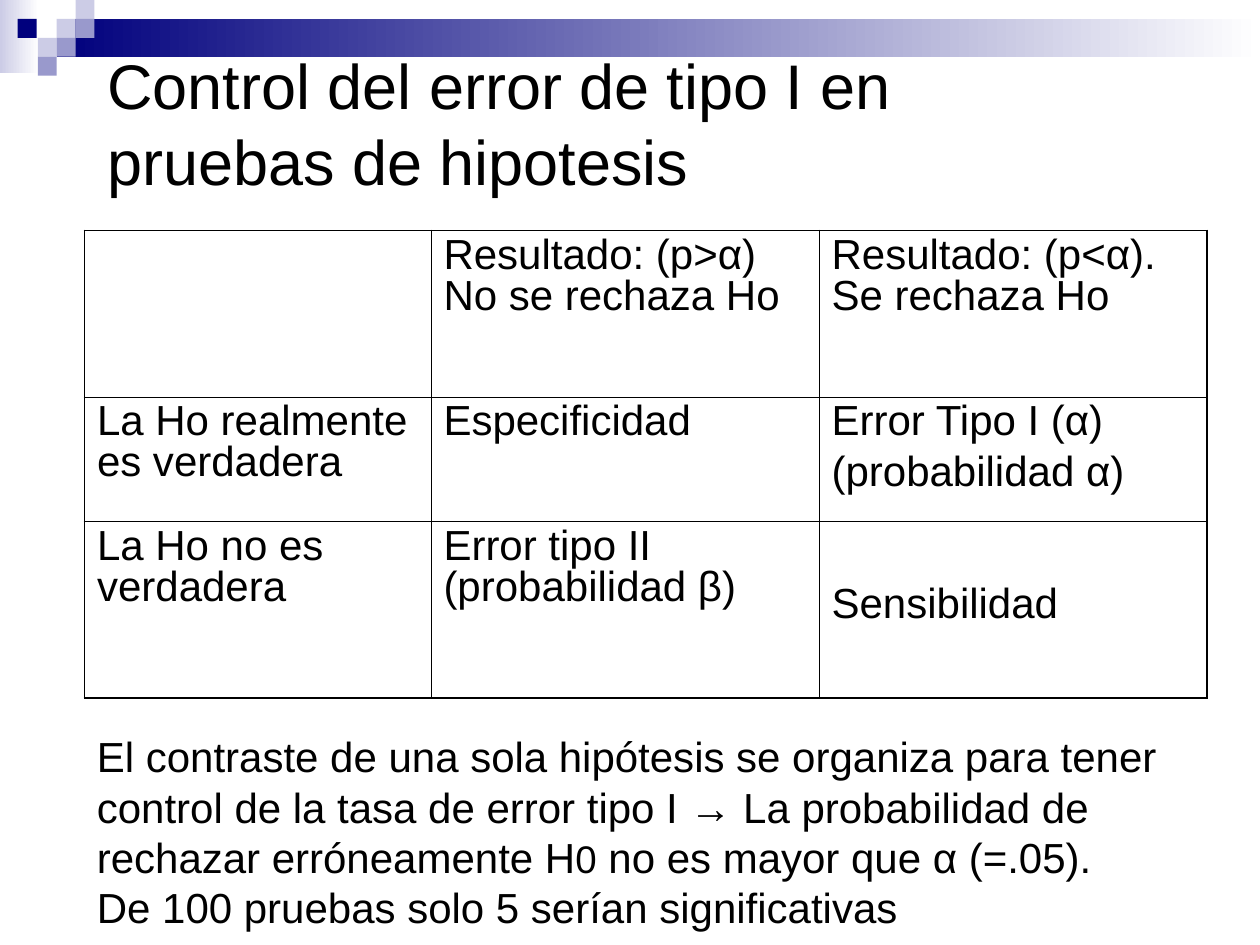
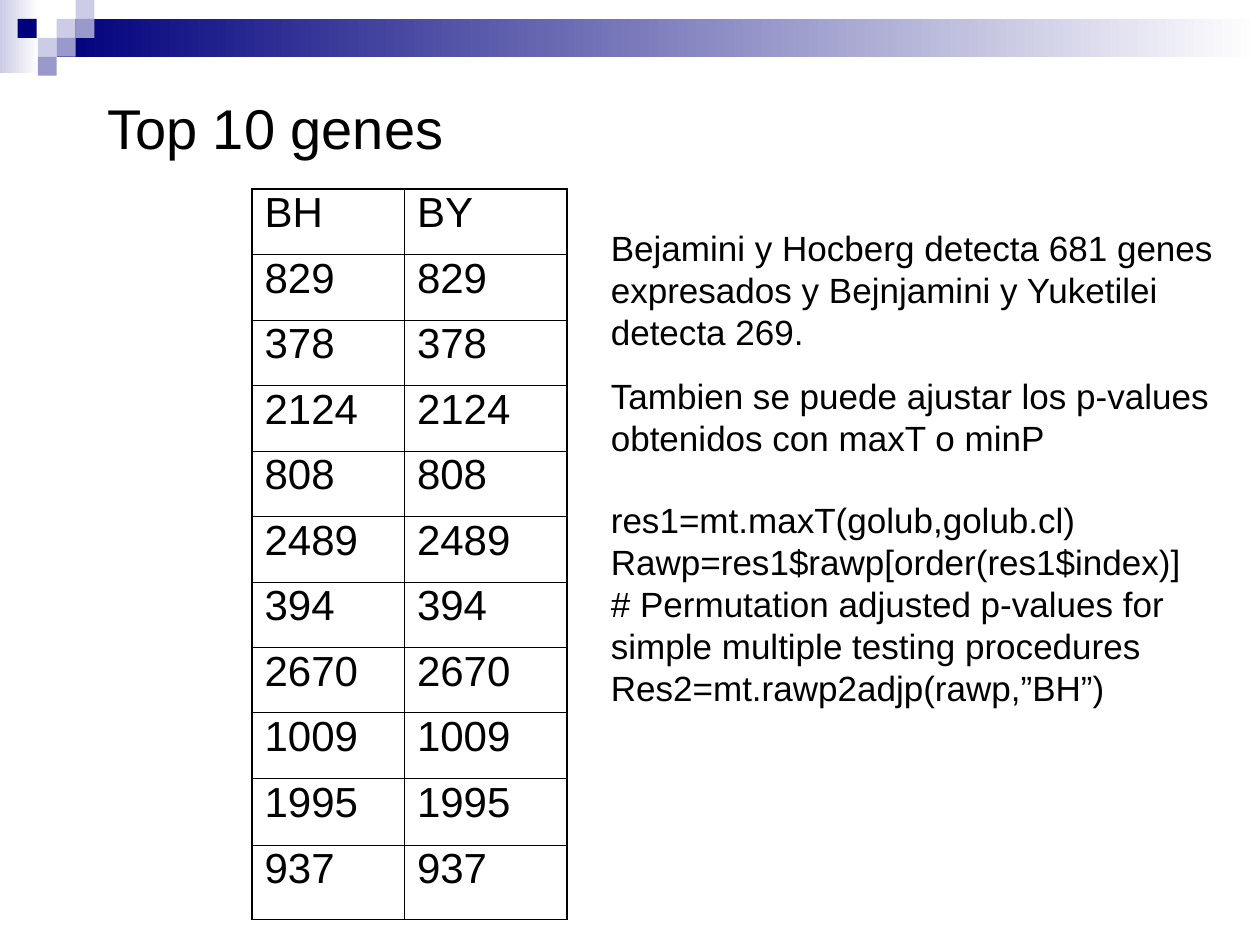
"""Build two slides on type I error control and the top ten genes."""
from lxml.etree import SubElement
from pptx import Presentation
from pptx.dml.color import RGBColor
from pptx.enum.shapes import MSO_SHAPE
from pptx.enum.text import MSO_ANCHOR, MSO_AUTO_SIZE, PP_ALIGN
from pptx.oxml import parse_xml
from pptx.oxml.ns import nsdecls, qn
from pptx.util import Inches, Pt

BLACK = RGBColor(0x00, 0x00, 0x00)
WHITE = RGBColor(0xFF, 0xFF, 0xFF)
NAVY = RGBColor(0x00, 0x00, 0x7D)
LAVENDER = RGBColor(0xCC, 0xCC, 0xE6)
PERIWINKLE = RGBColor(0x99, 0x99, 0xCC)
FONT = "Arial"
OUTER, INNER = Pt(1.08), Pt(0.45)


def style_text(frame, size):
    """Wrap the frame and give all its runs the deck's font."""
    frame.word_wrap = True
    for paragraph in frame.paragraphs:
        paragraph.alignment = PP_ALIGN.LEFT
        for run in paragraph.runs:
            run.font.name = FONT
            run.font.size = Pt(size)
            run.font.color.rgb = BLACK


def add_grid(slide, left, top, widths, heights, rows):
    """Add a ruled table with a heavier outline and return it."""
    table = slide.shapes.add_table(
        len(heights), len(widths), Inches(left), Inches(top),
        Inches(sum(widths)), Inches(sum(heights))).table
    table.first_row = table.horz_banding = False
    for column, width in zip(table.columns, widths):
        column.width = Inches(width)
    for row, height in zip(table.rows, heights):
        row.height = Inches(height)
    for r, texts in enumerate(rows):
        for c, text in enumerate(texts):
            cell = table.cell(r, c)
            cell.fill.background()
            cell.text_frame.text = text
            style_text(cell.text_frame, 24)
            for index, paragraph in enumerate(cell.text_frame.paragraphs):
                paragraph.line_spacing = 0.87
                paragraph.space_before = Pt(6 if index else 0)
            on_edge = {"lnL": c == 0, "lnR": c == len(widths) - 1,
                       "lnT": r == 0, "lnB": r == len(heights) - 1}
            properties = cell._tc.get_or_add_tcPr()
            for position, (side, outer) in enumerate(on_edge.items()):
                border = parse_xml(f"<a:{side} {nsdecls('a')}/>")
                border.set("w", str(OUTER if outer else INNER))
                fill = SubElement(border, qn("a:solidFill"))
                SubElement(fill, qn("a:srgbClr")).set("val", str(BLACK))
                properties.insert(position, border)
    return table


prs = Presentation()
prs.slide_width, prs.slide_height = Inches(10), Inches(7.5)
layout = prs.slide_layouts[5]
for placeholder in list(layout.placeholders):
    if placeholder.placeholder_format.idx != 0:
        placeholder.element.getparent().remove(placeholder.element)

titles = [("Control del error de tipo I en\npruebas de hipotesis", 0.32, 1.3, 36),
          ("Top 10 genes", 0.67, 0.67, 32)]
for words, top, height, size in titles:
    title = prs.slides.add_slide(layout).shapes.title
    title.left, title.top = Inches(0.75), Inches(top)
    title.width, title.height = Inches(8.5), Inches(height)
    title.text_frame.paragraphs[0].text = words
    title.text_frame.vertical_anchor = MSO_ANCHOR.MIDDLE
    title.text_frame.auto_size = MSO_AUTO_SIZE.NONE
    style_text(title.text_frame, size)
errors_slide, genes_slide = prs.slides

bands = [(0, 0, 0.31, 0.58, LAVENDER), (0.45, 0.15, 9.55, 0.3, NAVY)]
squares = [(0.45, 0.15, LAVENDER), (0.6, 0, LAVENDER), (0.6, 0.15, PERIWINKLE),
           (0.3, 0.3, LAVENDER), (0.14, 0.15, NAVY), (0.45, 0.3, PERIWINKLE),
           (0.3, 0.45, PERIWINKLE)]
header = bands + [(x, y, 0.15, 0.15, colour) for x, y, colour in squares]
for x, y, width, height, colour in header:
    tile = errors_slide.shapes.add_shape(
        MSO_SHAPE.RECTANGLE, Inches(x), Inches(y), Inches(width), Inches(height))
    tile.shadow.inherit = False
    tile.line.fill.background()
    if (x, y, width, height, colour) in bands:
        tile.fill.gradient()
        tile.fill.gradient_angle = 180
        for stop, shade in zip(tile.fill.gradient_stops, (WHITE, colour)):
            stop.color.rgb = shade
    else:
        tile.fill.solid()
        tile.fill.fore_color.rgb = colour
    layout.shapes.element.append(tile.element)

outcomes = add_grid(errors_slide, 0.67, 1.83, [2.75, 3.08, 3.08], [1.32, 0.99, 1.4], [
    ("", "Resultado: (p>α) No se rechaza Ho", "Resultado: (p<α). Se rechaza Ho"),
    ("La Ho realmente es verdadera", "Especificidad", "Error Tipo I (α)\n(probabilidad α)"),
    ("La Ho no es verdadera", "Error tipo II (probabilidad β)", "Sensibilidad"),
])
outcomes.cell(2, 2).margin_top = Inches(0.51)

conclusion = errors_slide.shapes.add_textbox(
    Inches(0.67), Inches(5.75), Inches(8.92), Inches(1.7)).text_frame
sentence = conclusion.paragraphs[0]
sentence.text = ("El contraste de una sola hipótesis se organiza para tener control de la "
                 "tasa de error tipo I → La probabilidad de rechazar erróneamente H")
zero = sentence.add_run()
zero.text = "0"
sentence.add_run().text = " no es mayor que α (=.05)."
sentence.add_line_break()
sentence.add_run().text = "De 100 pruebas solo 5 serían significativas"
style_text(conclusion, 24)
zero.font.size = Pt(22)

genes = ["829", "378", "2124", "808", "2489", "394", "2670", "1009", "1995", "937"]
add_grid(genes_slide, 2, 1.5, [1.21, 1.29], [0.52] * 9 + [0.53, 0.59],
         [("BH", "BY")] + [(gene, gene) for gene in genes])

remarks = genes_slide.shapes.add_textbox(
    Inches(4.75), Inches(1.75), Inches(5), Inches(4.45)).text_frame
remarks.text = """Bejamini y Hocberg detecta 681 genes expresados y Bejnjamini y Yuketilei detecta 269.
Tambien se puede ajustar los p-values obtenidos con maxT o minP
res1=mt.maxT(golub,golub.cl)
Rawp=res1$rawp[order(res1$index)]
# Permutation adjusted p-values for simple multiple testing procedures
Res2=mt.rawp2adjp(rawp,”BH”)"""
style_text(remarks, 20)
remarks.paragraphs[1].space_before = Pt(12.5)
remarks.paragraphs[2].space_before = Pt(23)

prs.save("out.pptx")
